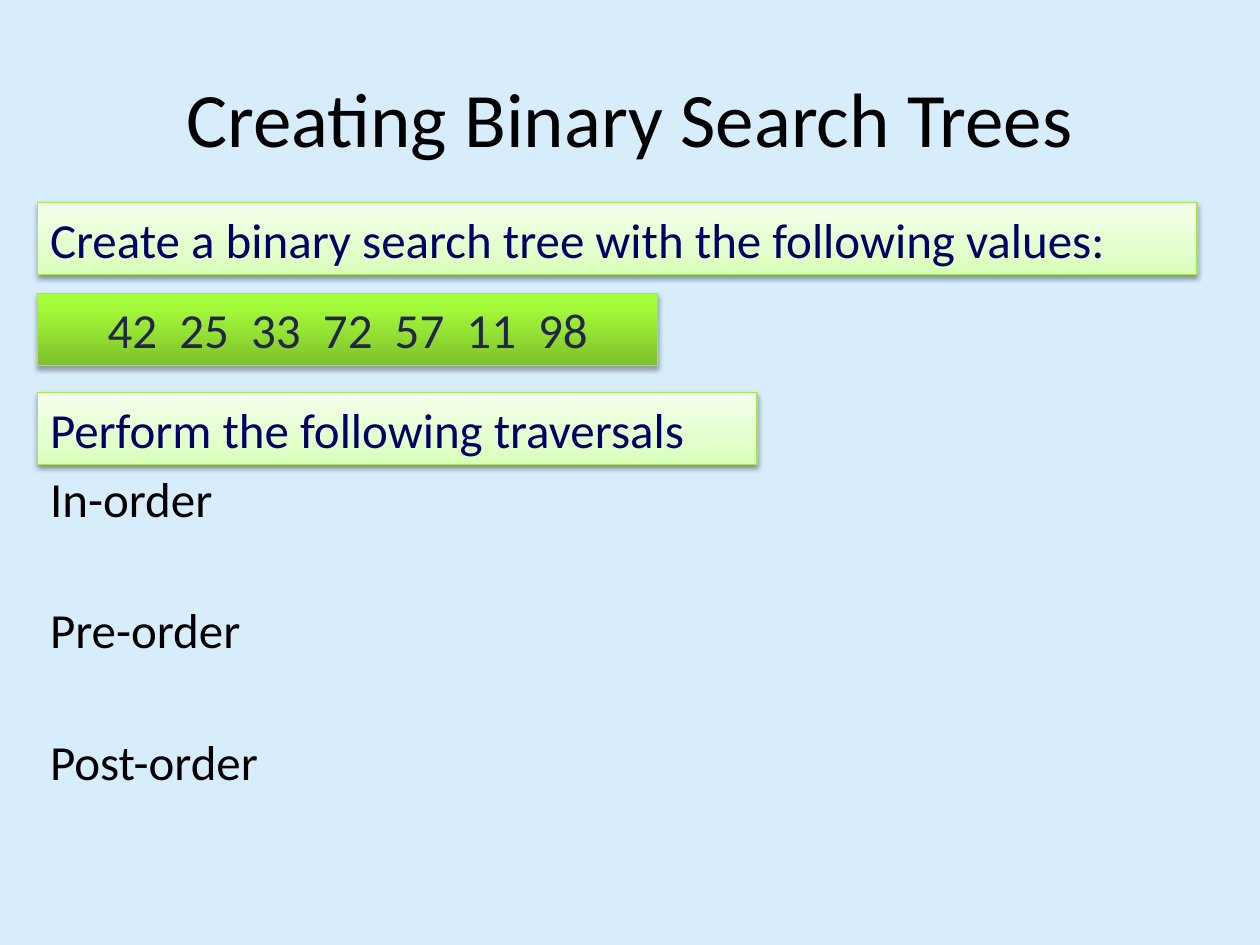
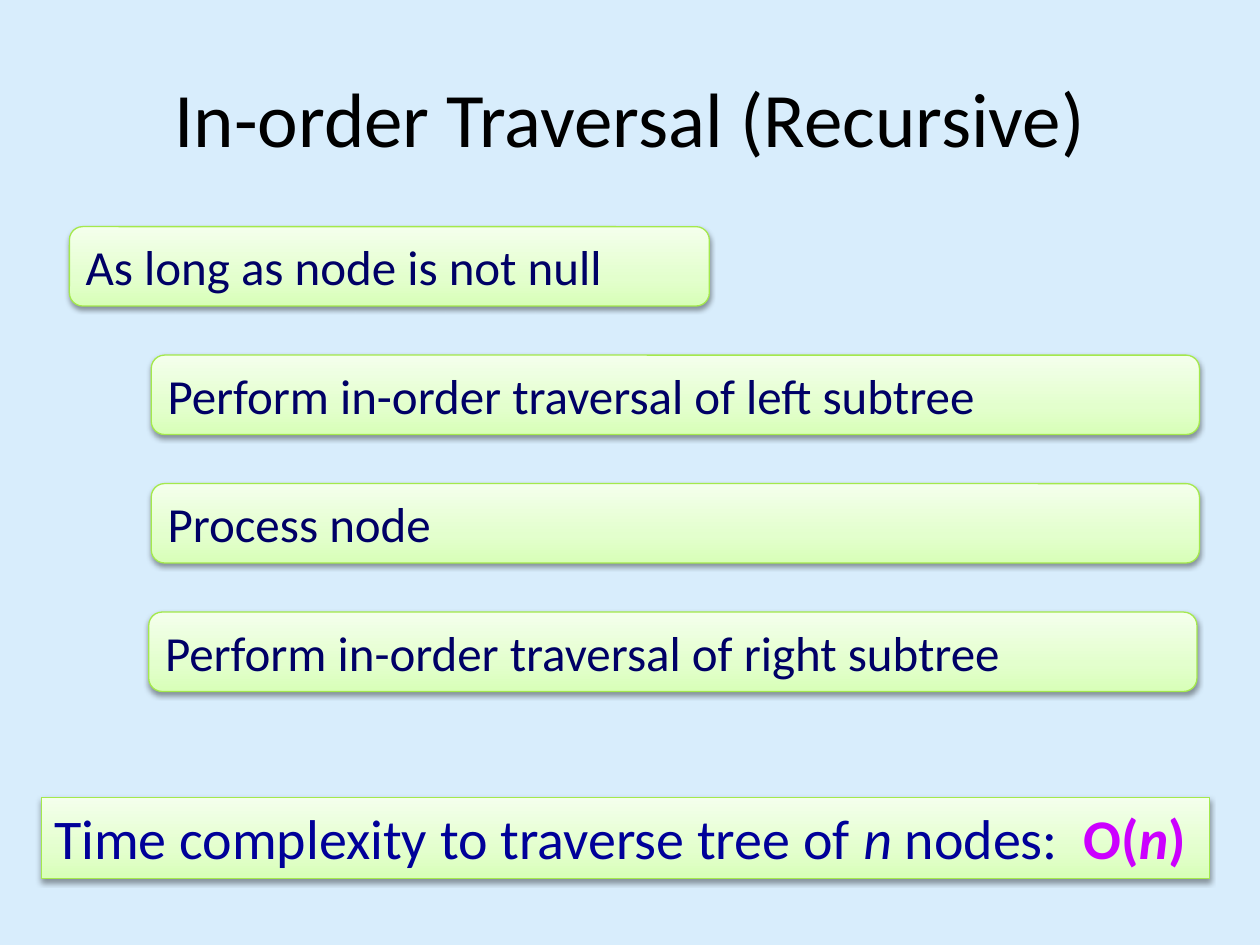
from lxml import etree
from pptx import Presentation
from pptx import util as u
from pptx.dml.color import RGBColor
from pptx.enum import shapes, text
from pptx.oxml.ns import qn

# Shared look
BACKGROUND = "D8EDFC"
BLACK, NAVY, BLUE, SLATE, MAGENTA = "000000", "000066", "000099", "212745", "CC00FF"
EDGE = "A4E94C"
# Each band: gradient stops from bottom to top, shadow opacity in %, shadow distance in points
PALE = ([(0, "D8FFB8"), (35, "E3FFCD"), (100, "F4FFEC")], 38, 1.6)
VIVID = ([(0, "7FC02C"), (80, "A4F939"), (100, "A6FE36")], 35, 1.8)
RECT = shapes.MSO_SHAPE.RECTANGLE
ROUND = shapes.MSO_SHAPE.ROUNDED_RECTANGLE
LEFT, CENTER = text.PP_ALIGN.LEFT, text.PP_ALIGN.CENTER
TOP, MIDDLE = text.MSO_ANCHOR.TOP, text.MSO_ANCHOR.MIDDLE
BAR_LEFT, BAR_HEIGHT = 0.76, 1.45


def rgb(value):
    return RGBColor.from_string(value)


def add_color(parent, value):
    return etree.SubElement(parent, qn("a:srgbClr"), val=value)


class SlideMaker:
    """Holds the deck, its text style and the current slide."""

    def __init__(self):
        self.deck = Presentation()
        self.deck.slide_width, self.deck.slide_height = u.Cm(25.4), u.Cm(19.05)
        self.font = {"name": "Calibri", "size": u.Pt(28)}
        self.page = None

    def start(self, title):
        self.page = self.deck.slides.add_slide(self.deck.slide_layouts[6])
        fill = self.page.background.fill
        fill.solid()
        fill.fore_color.rgb = rgb(BACKGROUND)
        self.label(title, 1.27, 0.76, 22.86, 3.18, size=44, align=CENTER,
                   anchor=MIDDLE, wrap=True, grow=False)

    def put_text(self, box, words, color, size=28, align=LEFT, anchor=TOP, wrap=True, grow=True):
        """Words are one string, or a list of (string, font changes)."""
        frame = box.text_frame
        fit = text.MSO_AUTO_SIZE.SHAPE_TO_FIT_TEXT if grow else text.MSO_AUTO_SIZE.NONE
        layout = {"word_wrap": wrap, "vertical_anchor": anchor, "auto_size": fit}
        for key, value in layout.items():
            setattr(frame, key, value)
        para = frame.paragraphs[0]
        para.alignment = align
        for string, changes in [(words, {})] if isinstance(words, str) else words:
            span = para.add_run()
            span.text = string
            style = {**self.font, "size": u.Pt(size), "color": color, **changes}
            span.font.color.rgb = rgb(style.pop("color"))
            for key, value in style.items():
                setattr(span.font, key, value)

    def label(self, words, left, top, width, height, **format_values):
        box = self.page.shapes.add_textbox(u.Cm(left), u.Cm(top), u.Cm(width), u.Cm(height))
        self.put_text(box, words, BLACK, **format_values)

    def band(self, words, left, top, width, height, kind=RECT, look=PALE, color=NAVY,
             **format_values):
        box = self.page.shapes.add_shape(kind, u.Cm(left), u.Cm(top), u.Cm(width), u.Cm(height))
        box.line.color.rgb = rgb(EDGE)
        box.line.width = u.Pt(0.75)
        self.shade(box, *look)
        self.put_text(box, words, color, **format_values)

    def shade(self, box, stops, opacity, distance):
        # Gradient
        box.fill.gradient()
        box.fill.gradient_angle = 90
        properties = box.element.spPr
        stop_list = properties.find(qn("a:gradFill")).find(qn("a:gsLst"))
        for old in list(stop_list):
            stop_list.remove(old)
        for place, value in stops:
            add_color(etree.SubElement(stop_list, qn("a:gs"), pos=str(place * 1000)), value)
        # Soft shadow below
        box.shadow.inherit = False
        shadow = etree.SubElement(
            properties.find(qn("a:effectLst")), qn("a:outerShdw"), blurRad=str(u.Pt(3.1)),
            dist=str(u.Pt(distance)), dir="5400000", rotWithShape="0")
        etree.SubElement(add_color(shadow, BLACK), qn("a:alpha"), val=str(opacity * 1000))


def tree_creation(maker):
    maker.start("Creating Binary Search Trees")
    maker.band("Create a binary search tree with the following values:",
               BAR_LEFT, 4.09, 23.37, BAR_HEIGHT)
    maker.band("42  25  33  72  57  11  98", BAR_LEFT, 5.92, 12.5, BAR_HEIGHT,
               look=VIVID, color=SLATE, align=CENTER)
    maker.band("Perform the following traversals", BAR_LEFT, 7.92, 14.5, BAR_HEIGHT)
    # Traversals, evenly spaced
    orders = [("In-order", 3.81), ("Pre-order", 4.39), ("Post-order", 4.78)]
    for row, (order, width) in enumerate(orders):
        maker.label(order, BAR_LEFT, 9.32 + 2.65 * row, width, BAR_HEIGHT, wrap=False)


def in_order_traversal(maker):
    maker.start("In-order Traversal (Recursive)")
    # Condition, then its indented steps
    steps = [("As long as node is not null", 1.4, 12.9),
             ("Perform in-order traversal of left subtree", 3.05, 21.13),
             ("Process node", 3.05, 21.13),
             ("Perform in-order traversal of right subtree", 3, 21.13)]
    for row, (step, left, width) in enumerate(steps):
        maker.band(step, left, 4.57 + 2.59 * row, width, 1.6, kind=ROUND, anchor=MIDDLE)
    # Cost
    strong = {"color": MAGENTA, "bold": True}
    cost = [("Time complexity to traverse tree of ", {}), ("n", {"italic": True}),
            (" nodes:  ", {}), ("O(", strong), ("n", {**strong, "italic": True}), (")", strong)]
    maker.band(cost, 0.84, 16.08, 23.55, 1.63, color=BLUE, size=32, wrap=False)


def main():
    maker = SlideMaker()
    tree_creation(maker)
    in_order_traversal(maker)
    maker.deck.save("out.pptx")


if __name__ == "__main__":
    main()
